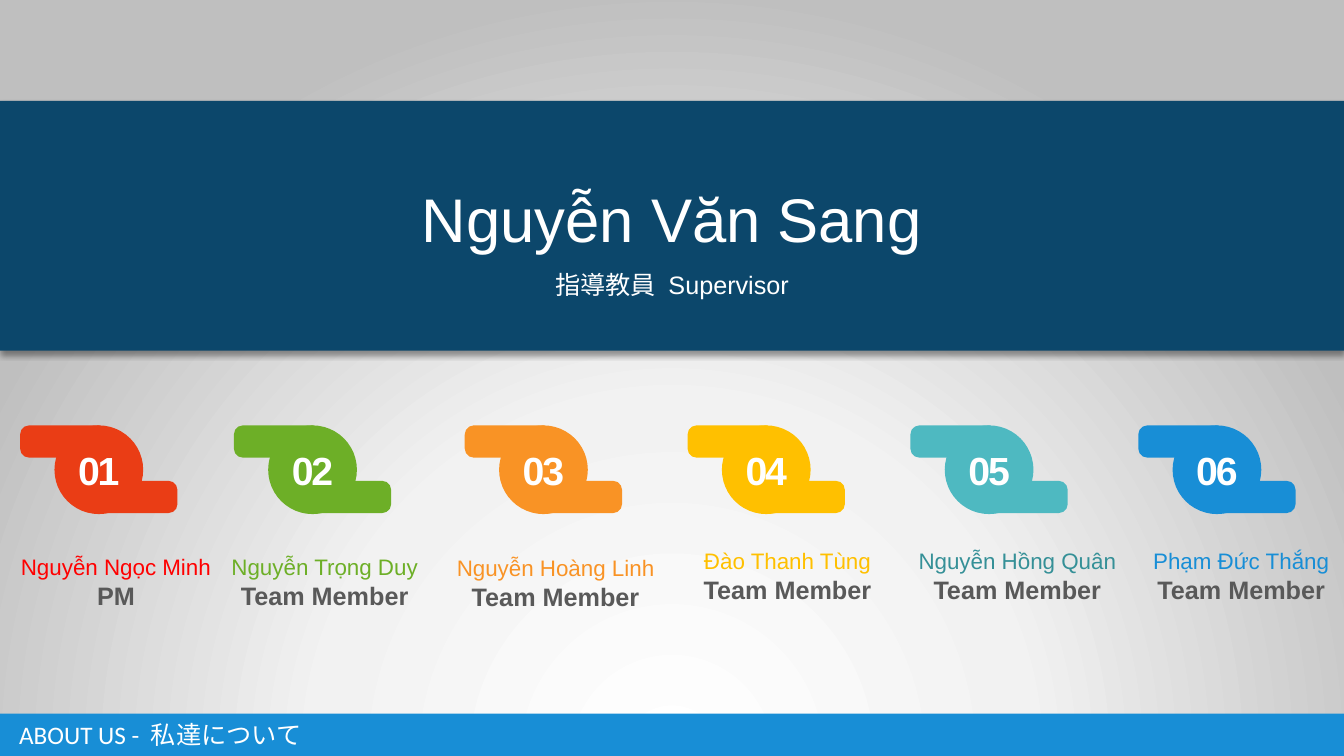
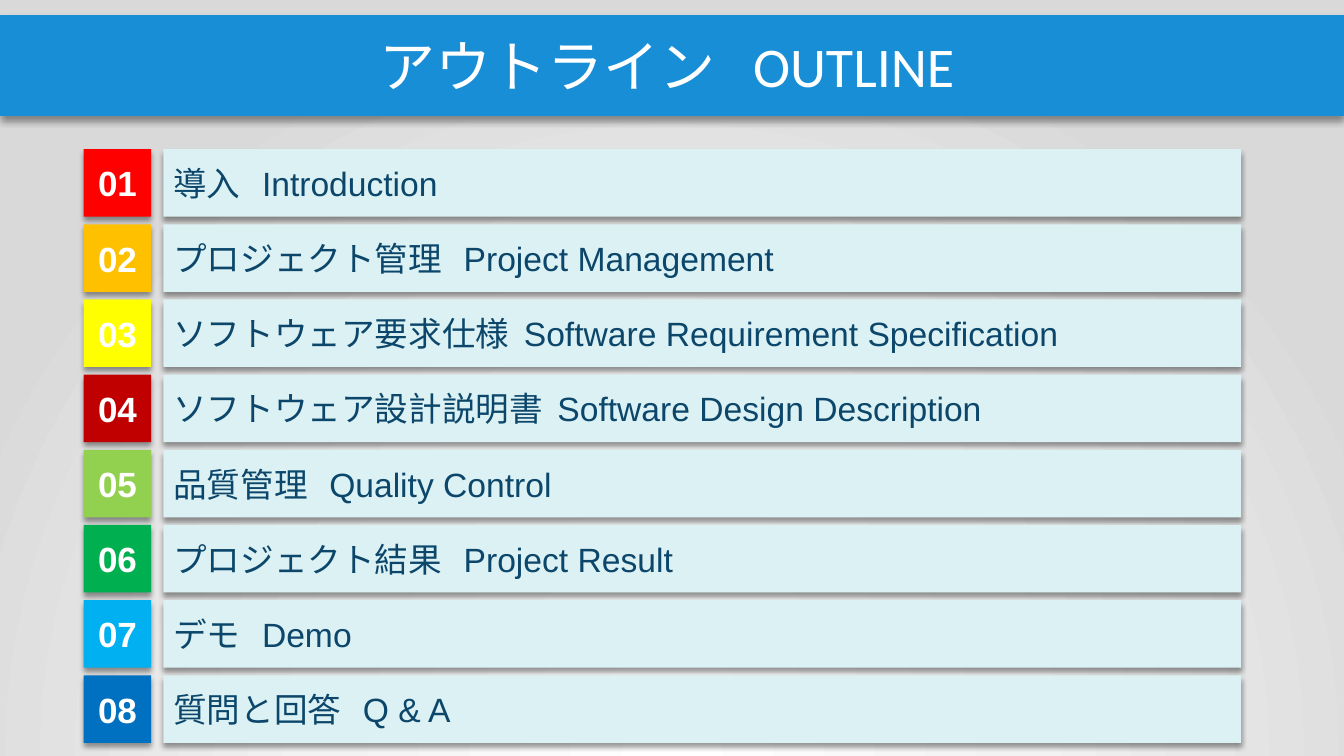
"""Build the team slide and the outline slide."""
from lxml import etree
from pptx import Presentation
from pptx.dml.color import RGBColor
from pptx.enum.shapes import MSO_SHAPE as SHAPE
from pptx.enum.text import MSO_ANCHOR as ANCHOR, MSO_AUTO_SIZE as AUTO_SIZE, PP_ALIGN as ALIGN
from pptx.oxml import parse_xml
from pptx.oxml.ns import nsdecls, qn
from pptx.util import Inches, Pt

COLORS = {
    "white": "FFFFFF", "blue": "188ED6", "navy": "0C476B", "pale": "DCF1F3",
    "role": "595959", "middle": "F2F2F2", "edge_dark": "BFBFBF", "edge_light": "D9D9D9",
    "vermilion": "EA3D15", "red": "FF0000", "leaf": "6DAF27", "orange": "F99325",
    "amber": "FFC000", "aqua": "4EB9C1", "teal": "359097", "yellow": "FFFF00",
    "crimson": "C00000", "lime": "92D050", "green": "00B050", "sky": "00B0F0",
    "cobalt": "0070C0",
}

ABOUT_TITLE = ("ABOUT US -", "私達について")
SUPERVISOR = "Nguyễn Văn Sang"
SUPERVISOR_ROLE = ("指導教員", "Supervisor")
MEMBERS = [
    ("Nguyễn Ngọc Minh", "PM", "vermilion", "red", 0.20, 1.15, 5.44),
    ("Nguyễn Trọng Duy", "Team Member", "leaf", "leaf", 2.32, 3.22, 5.44),
    ("Nguyễn Hoàng Linh", "Team Member", "orange", "orange", 4.61, 5.51, 5.45),
    ("Đào Thanh Tùng", "Team Member", "amber", "amber", 6.82, 7.81, 5.38),
    ("Nguyễn Hồng Quân", "Team Member", "aqua", "teal", 9.03, 10.09, 5.38),
    ("Phạm Đức Thắng", "Team Member", "blue", "blue", 11.29, 12.31, 5.38),
]

OUTLINE_TITLE = ("アウトライン", "OUTLINE")
TOPICS = [
    ("導入", "Introduction", "red", 10),
    ("プロジェクト管理", "Project Management", "amber", 10),
    ("ソフトウェア要求仕様", "Software Requirement Specification", "yellow", 5),
    ("ソフトウェア設計説明書", "Software Design Description", "crimson", 5),
    ("品質管理", "Quality Control", "lime", 10),
    ("プロジェクト結果", "Project Result", "green", 10),
    ("デモ", "Demo", "sky", 10),
    ("質問と回答", "Q & A", "cobalt", 10),
]

WIDTH, HEIGHT = 13.33, 7.5
BADGE_TOP, BADGE_SIZE, TAB_WIDTH, TAB_HEIGHT = 4.22, 0.88, 0.87, 0.32
LABEL_WIDTH, LABEL_HEIGHT = 2.27, 0.67
FIRST_ROW, LAST_ROW, ROW_HEIGHT = 1.48, 6.70, 0.67
ROW_PITCH = (LAST_ROW - FIRST_ROW) / (len(TOPICS) - 1)


def rgb(name):
    """Return a named palette colour."""
    return RGBColor.from_string(COLORS[name])


def set_background(slide, edge):
    """Give a slide a circular gradient that is white at the bottom."""
    slide.background.fill.solid()
    properties = slide.background._cSld.find(qn("p:bg")).find(qn("p:bgPr"))
    stops = "".join(
        f'<a:gs pos="{position}"><a:srgbClr val="{COLORS[name]}"/></a:gs>'
        for position, name in ((0, "white"), (46000, "middle"), (100000, edge)))
    gradient = parse_xml(
        f'<a:gradFill {nsdecls("a")} rotWithShape="1"><a:gsLst>{stops}</a:gsLst>'
        '<a:path path="circle"><a:fillToRect l="50000" t="130000" r="50000" b="-30000"/>'
        '</a:path></a:gradFill>')
    properties.replace(properties.find(qn("a:solidFill")), gradient)


def style_shape(shape, color, blur=0):
    """Fill a shape without outline, with a soft shadow where blur is given."""
    shape.fill.solid()
    shape.fill.fore_color.rgb = rgb(color)
    shape.line.fill.background()
    shape.shadow.inherit = False
    if blur:
        effects = shape._element.spPr.find(qn("a:effectLst"))
        shadow = etree.SubElement(effects, qn("a:outerShdw"), blurRad=str(Pt(blur)),
                                  dist=str(Pt(3)), dir="5400000", algn="t", rotWithShape="0")
        shade = etree.SubElement(shadow, qn("a:srgbClr"), val="000000")
        etree.SubElement(shade, qn("a:alpha"), val="40000")


def add_block(shapes, kind, box, color, blur=0):
    """Add a filled preset shape."""
    block = shapes.add_shape(kind, *map(Inches, box))
    style_shape(block, color, blur)
    return block


def set_frame(shape, **settings):
    """Set text frame attributes, vertically centred and wrapped by default."""
    frame = shape.text_frame
    defaults = {"word_wrap": True, "auto_size": AUTO_SIZE.NONE, "vertical_anchor": ANCHOR.MIDDLE}
    for name, value in (defaults | settings).items():
        setattr(frame, name, value)
    return frame


def write_line(paragraph, parts, size, color="white", bold=False, font="Arial",
               align=ALIGN.CENTER, gap=0, tracking=0):
    """Write parts parted by one space, widened by gap points."""
    paragraph.alignment = align
    for index, part in enumerate(parts):
        pieces = [(" ", gap), (part, tracking)] if index else [(part, tracking)]
        for text, spacing in pieces:
            run = paragraph.add_run()
            run.text = text
            values = {"name": font, "size": Pt(size), "bold": bold}
            for name, value in values.items():
                setattr(run.font, name, value)
            run.font.color.rgb = rgb(color)
            if spacing:
                run._r.get_or_add_rPr().set("spc", str(int(spacing * 100)))


def add_slide(presentation, edge, parts, box, size, gap, align, margins, blur=0):
    """Add a slide whose title is a full-width blue band."""
    slide = presentation.slides.add_slide(presentation.slide_layouts[5])
    set_background(slide, edge)
    title = slide.shapes.title
    title.left, title.top, title.width, title.height = map(Inches, box)
    style_shape(title, "blue", blur)
    frame = set_frame(title, margin_left=Inches(margins[0]), margin_right=Inches(margins[1]),
                      margin_top=0, margin_bottom=0)
    write_line(frame.paragraphs[0], parts, size, font="Calibri", align=align, gap=gap)
    return slide


def add_badge(slide, number, left, color):
    """Add a numbered disc with a tab at its upper left and lower right."""
    group = slide.shapes.add_group_shape()
    tabs = [(left + 0.69, BADGE_TOP + 0.55), (left, BADGE_TOP)]
    for tab_left, tab_top in tabs:
        tab = add_block(group.shapes, SHAPE.ROUNDED_RECTANGLE,
                        (tab_left, tab_top, TAB_WIDTH, TAB_HEIGHT), color)
        tab.adjustments[0] = 0.28
    disc = add_block(group.shapes, SHAPE.ROUNDED_RECTANGLE,
                     (left + 0.34, BADGE_TOP, BADGE_SIZE, BADGE_SIZE), color)
    disc.adjustments[0] = 0.5
    frame = set_frame(disc, margin_left=0, margin_right=0)
    write_line(frame.paragraphs[0], [f"{number:02}"], 28, bold=True, tracking=-1.5)


def build_team(presentation):
    """Build the slide with the supervisor and the six members."""
    slide = add_slide(presentation, "edge_dark", ABOUT_TITLE, (0, 7.08, WIDTH, 0.42),
                      18, 4, ALIGN.LEFT, (0.19, 0.1))
    band = add_block(slide.shapes, SHAPE.RECTANGLE, (0, 1, WIDTH, 2.48), "navy", 4)
    frame = set_frame(band, margin_top=Inches(0.34))
    write_line(frame.paragraphs[0], [SUPERVISOR], 44)
    role_line = frame.add_paragraph()
    role_line.space_before = Pt(10)
    write_line(role_line, SUPERVISOR_ROLE, 18, gap=5)
    for number, (name, role, color, name_color, left, center, top) in enumerate(MEMBERS, 1):
        add_badge(slide, number, left, color)
        box = (center - LABEL_WIDTH / 2, top, LABEL_WIDTH, LABEL_HEIGHT)
        label = slide.shapes.add_textbox(*map(Inches, box))
        frame = set_frame(label, vertical_anchor=ANCHOR.TOP)
        write_line(frame.paragraphs[0], [name], 16, name_color)
        write_line(frame.add_paragraph(), [role], 18, "role", bold=True)


def build_outline(presentation):
    """Build the slide with the eight numbered topics."""
    slide = add_slide(presentation, "edge_light", OUTLINE_TITLE, (0, 0.15, WIDTH, 1),
                      40, 18, ALIGN.CENTER, (0.1, 0.2), 5)
    for index, (japanese, english, color, gap) in enumerate(TOPICS):
        top = FIRST_ROW + index * ROW_PITCH
        square = add_block(slide.shapes, SHAPE.RECTANGLE,
                           (0.83, top, ROW_HEIGHT, ROW_HEIGHT), color, 4)
        frame = set_frame(square, margin_left=0, margin_right=0)
        write_line(frame.paragraphs[0], [f"{index + 1:02}"], 25, bold=True)
        bar = add_block(slide.shapes, SHAPE.RECTANGLE, (1.62, top, 10.69, ROW_HEIGHT), "pale", 4)
        write_line(set_frame(bar).paragraphs[0], (japanese, english), 24, "navy",
                   align=ALIGN.LEFT, gap=gap)


def main():
    """Build and save the presentation."""
    presentation = Presentation()
    presentation.slide_width, presentation.slide_height = Inches(WIDTH), Inches(HEIGHT)
    build_team(presentation)
    build_outline(presentation)
    presentation.save("out.pptx")


if __name__ == "__main__":
    main()
